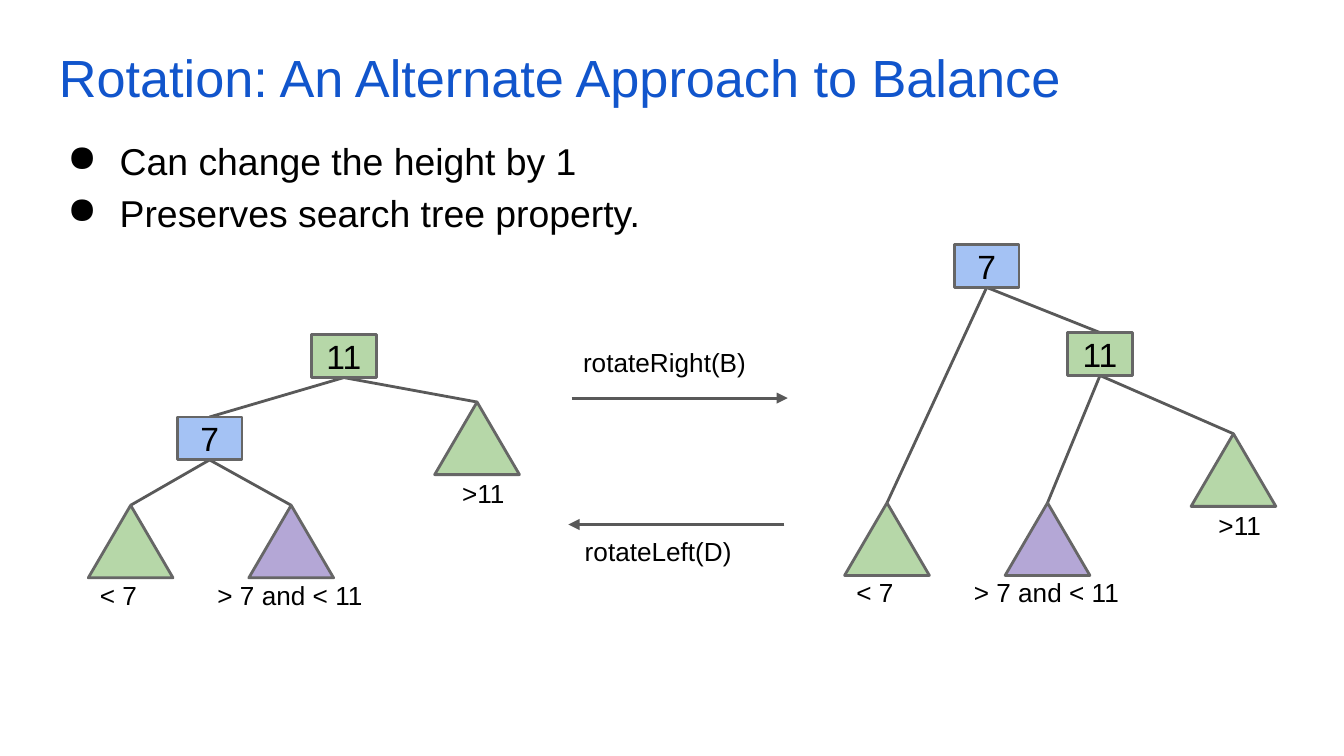
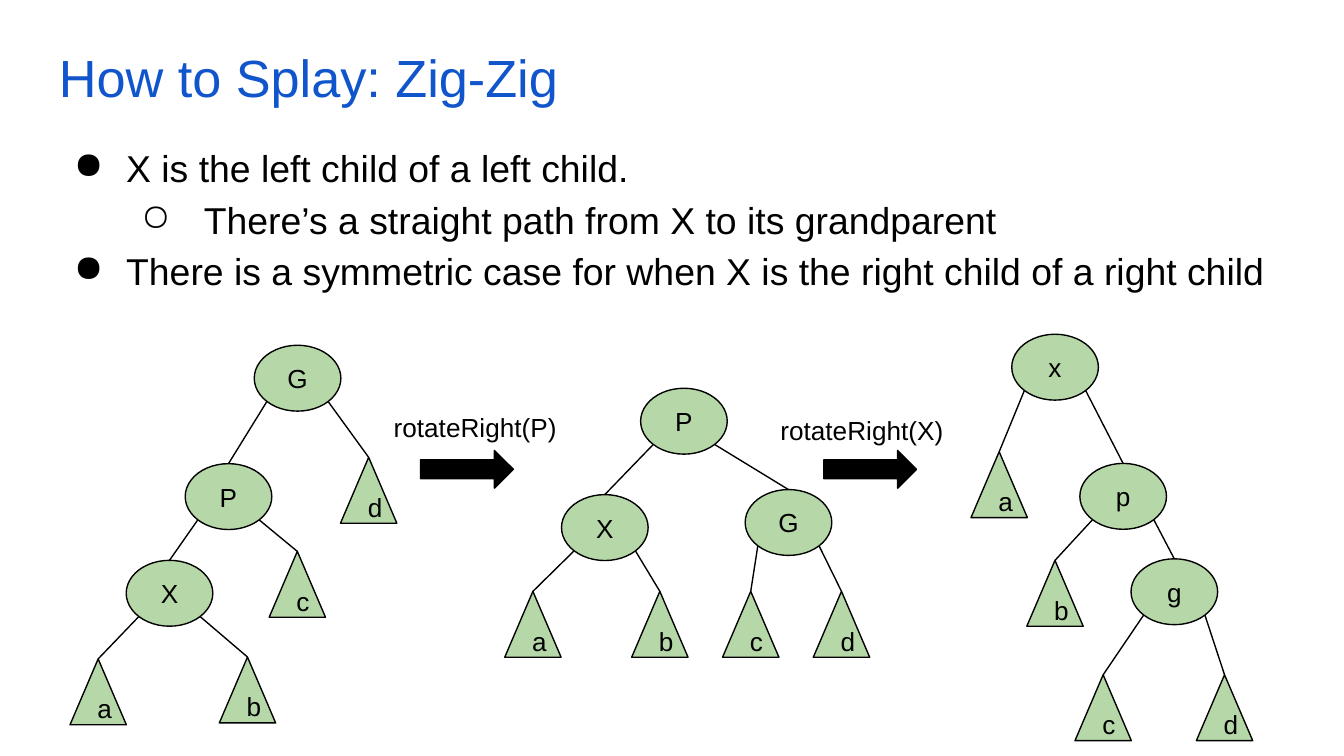
from lxml.etree import SubElement
from pptx import Presentation
from pptx.dml.color import RGBColor
from pptx.enum.shapes import MSO_CONNECTOR, MSO_SHAPE
from pptx.enum.text import MSO_ANCHOR, PP_ALIGN
from pptx.oxml.ns import qn
from pptx.util import Pt

FONT = "Arial"
TITLE_BLUE = RGBColor(0x11, 0x55, 0xCC)
BLACK = RGBColor(0x00, 0x00, 0x00)
GREEN = RGBColor(0xB6, 0xD7, 0xA8)
BLUE = RGBColor(0xA4, 0xC2, 0xF4)
PURPLE = RGBColor(0xB4, 0xA7, 0xD6)
OUTLINE_GRAY = RGBColor(0x66, 0x66, 0x66)
EDGE_GRAY = RGBColor(0x59, 0x59, 0x59)


def add_piece(page, area, text="", size=14, color=BLACK, preset=None,
              fill=GREEN, outline=BLACK, weight=0.75):
    """Add a filled shape with a centred label, or a plain text box without preset."""
    area = [Pt(length) for length in area]
    if preset is None:
        box = page.shapes.add_textbox(*area)
    else:
        box = page.shapes.add_shape(preset, *area)
        box.shadow.inherit = False
        box.fill.solid()
        box.fill.fore_color.rgb = fill
        box.line.color.rgb = outline
        box.line.width = Pt(weight)
    frame = box.text_frame
    frame.word_wrap = True
    frame.margin_left = frame.margin_right = Pt(7.2)
    frame.margin_top = frame.margin_bottom = Pt(7.2)
    frame.vertical_anchor = MSO_ANCHOR.MIDDLE if preset else MSO_ANCHOR.TOP
    if text:
        para = frame.paragraphs[0]
        para.alignment = PP_ALIGN.CENTER if preset else PP_ALIGN.LEFT
        span = para.add_run()
        span.text = text
        span.font.name = FONT
        span.font.size = Pt(size)
        span.font.color.rgb = color
    return box


def add_line(page, start, end, color, weight, arrow=False):
    points = [Pt(value) for value in (*start, *end)]
    line = page.shapes.add_connector(MSO_CONNECTOR.STRAIGHT, *points)
    line.line.color.rgb = color
    line.line.width = Pt(weight)
    properties = line._element.spPr
    if arrow:
        SubElement(properties.find(qn("a:ln")), qn("a:tailEnd"), type="triangle")
    SubElement(properties, qn("a:effectLst"))


deck = Presentation()
deck.slide_width, deck.slide_height = Pt(720), Pt(405)

# Titles and bullets: (level, text)
outlines = [
    ("Rotation: An Alternate Approach to Balance", (21, 63.2, 677.5, 63.4), [
        (0, "Can change the height by 1"),
        (0, "Preserves search tree property."),
    ]),
    ("How to Splay: Zig-Zig", (24.5, 67, 671, 72.7), [
        (0, "X is the left child of a left child."),
        (1, "There’s a straight path from X to its grandparent"),
        (0, "There is a symmetric case for when X is the right child of a right child"),
    ]),
]
BULLETS = [("●", 36, 28), ("○", 77.6, 33.6)]  # sign, left margin, hanging indent

pages = []
for title, body_area, bullets in outlines:
    page = deck.slides.add_slide(deck.slide_layouts[6])
    pages.append(page)
    add_piece(page, (24.5, 17.3, 671, 45.4), title, 28, TITLE_BLUE)
    frame = add_piece(page, body_area).text_frame
    for index, (level, text) in enumerate(bullets):
        para = frame.add_paragraph() if index else frame.paragraphs[0]
        sign, margin, hanging = BULLETS[level]
        para.level = level
        properties = para._p.get_or_add_pPr()
        properties.set("marL", str(Pt(margin)))
        properties.set("indent", str(-Pt(hanging)))
        bullet_color = SubElement(properties, qn("a:buClr"))
        SubElement(bullet_color, qn("a:srgbClr"), val=str(BLACK))
        SubElement(properties, qn("a:buChar"), char=sign)
        para.line_spacing = 1.15
        span = para.add_run()
        span.text = text
        span.font.name = FONT
        span.font.size = Pt(20)
        span.font.color.rgb = BLACK
    para.space_after = Pt(16)

rotation_page, splay_page = pages

# Rotation: each node is placed by the middle of its top edge
KEY_WIDTH, KEY_HEIGHT = 34.7, 23
SUBTREE_WIDTH, SUBTREE_HEIGHT = 45.4, 38.9
LOW, BETWEEN, HIGH = "< 7", "> 7 and < 11", ">11"
key_fills = {"7": BLUE, "11": GREEN}
# Subtree: fill, label offset from the apex, label width
subtree_styles = {
    LOW: (GREEN, -23.5, 33.1, 43.2),
    BETWEEN: (PURPLE, -46.6, 33.1, 107.3),
    HIGH: (GREEN, -15.1, 33.8, 45.4),
}
rotation_trees = [
    ({"11": (184.2, 179.3), "7": (112.3, 223.4), LOW: (70, 270.7),
      BETWEEN: (156, 270.7), HIGH: (255.6, 215.4)},
     [("11", "7"), ("11", HIGH), ("7", LOW), ("7", BETWEEN)]),
    ({"7": (528.6, 131), "11": (589.3, 178.2), LOW: (475.2, 269.4),
      BETWEEN: (561.2, 269.4), HIGH: (660.8, 232.4)},
     [("7", LOW), ("7", "11"), ("11", BETWEEN), ("11", HIGH)]),
]
for nodes, edges in rotation_trees:
    for parent, child in edges:
        x, top = nodes[parent]
        add_line(rotation_page, (x, top + KEY_HEIGHT), nodes[child], EDGE_GRAY, 1.5)
    for name, (x, top) in nodes.items():
        if name in key_fills:
            add_piece(rotation_page, (x - KEY_WIDTH / 2, top, KEY_WIDTH, KEY_HEIGHT),
                      name, 18, preset=MSO_SHAPE.RECTANGLE, fill=key_fills[name],
                      outline=OUTLINE_GRAY, weight=1.5)
        else:
            fill, shift, drop, width = subtree_styles[name]
            add_piece(rotation_page,
                      (x - SUBTREE_WIDTH / 2, top, SUBTREE_WIDTH, SUBTREE_HEIGHT),
                      preset=MSO_SHAPE.ISOSCELES_TRIANGLE, fill=fill,
                      outline=OUTLINE_GRAY, weight=1.5)
            add_piece(rotation_page, (x + shift, top + drop, width, 13.7), name)

for text, left, top, start, end in [
    ("rotateRight(B)", 305.3, 178.6, (306.3, 213.3), (422, 213.3)),
    ("rotateLeft(D)", 306.2, 279.7, (420.2, 281), (304.5, 281)),
]:
    add_line(rotation_page, start, end, EDGE_GRAY, 1.5, arrow=True)
    add_piece(rotation_page, (left, top, 115.2, 29.5), text)

# Splay: ovals have children, triangles are subtrees
OVAL_WIDTH, LEAF_WIDTH, NODE_HEIGHT = 46.4, 30.2, 35.3
EXIT_SHIFT, EXIT_DROP = 16.4, 30.1  # where edges leave an oval
splay_trees = [
    ({"G": (159.4, 185), "P": (122.4, 248.4), "X": (90.8, 300.2), "a": (52.6, 353),
      "b": (132.6, 352), "c": (159.3, 295.4), "d": (197.5, 245)},
     ["GP", "Gd", "PX", "Pc", "Xa", "Xb"]),
    ({"P": (366.4, 208), "X": (324, 265), "G": (422.4, 262.3), "a": (285.5, 316.8),
      "b": (353.5, 316.8), "c": (402.2, 316.8), "d": (450.8, 316.8)},
     ["PX", "PG", "Xa", "Xb", "Gc", "Gd"]),
    ({"x": (565.2, 179.1), "p": (601.7, 248.3), "g": (629.1, 299.4), "a": (535.3, 242),
      "b": (565.2, 300.2), "c": (591, 361.5), "d": (656, 361.5)},
     ["xa", "xp", "pb", "pg", "gc", "gd"]),
]
for nodes, edges in splay_trees:
    parents = {parent for parent, child in edges}
    for parent, child in edges:
        x, top = nodes[parent]
        shift = EXIT_SHIFT if nodes[child][0] > x else -EXIT_SHIFT
        add_line(splay_page, (x + shift, top + EXIT_DROP), nodes[child], BLACK, 0.75)
    for name, (x, top) in nodes.items():
        if name in parents:
            preset, width = MSO_SHAPE.OVAL, OVAL_WIDTH
        else:
            preset, width = MSO_SHAPE.ISOSCELES_TRIANGLE, LEAF_WIDTH
        add_piece(splay_page, (x - width / 2, top, width, NODE_HEIGHT), name, preset=preset)

for text, left, top, arrow_left in [
    ("rotateRight(P)", 203.8, 213.1, 225.3),
    ("rotateRight(X)", 411, 214.6, 441.3),
]:
    add_piece(splay_page, (arrow_left, 241.3, 49.7, 20.2),
              preset=MSO_SHAPE.RIGHT_ARROW, fill=BLACK)
    add_piece(splay_page, (left, top, 106.6, 24.5), text)

deck.save("out.pptx")
